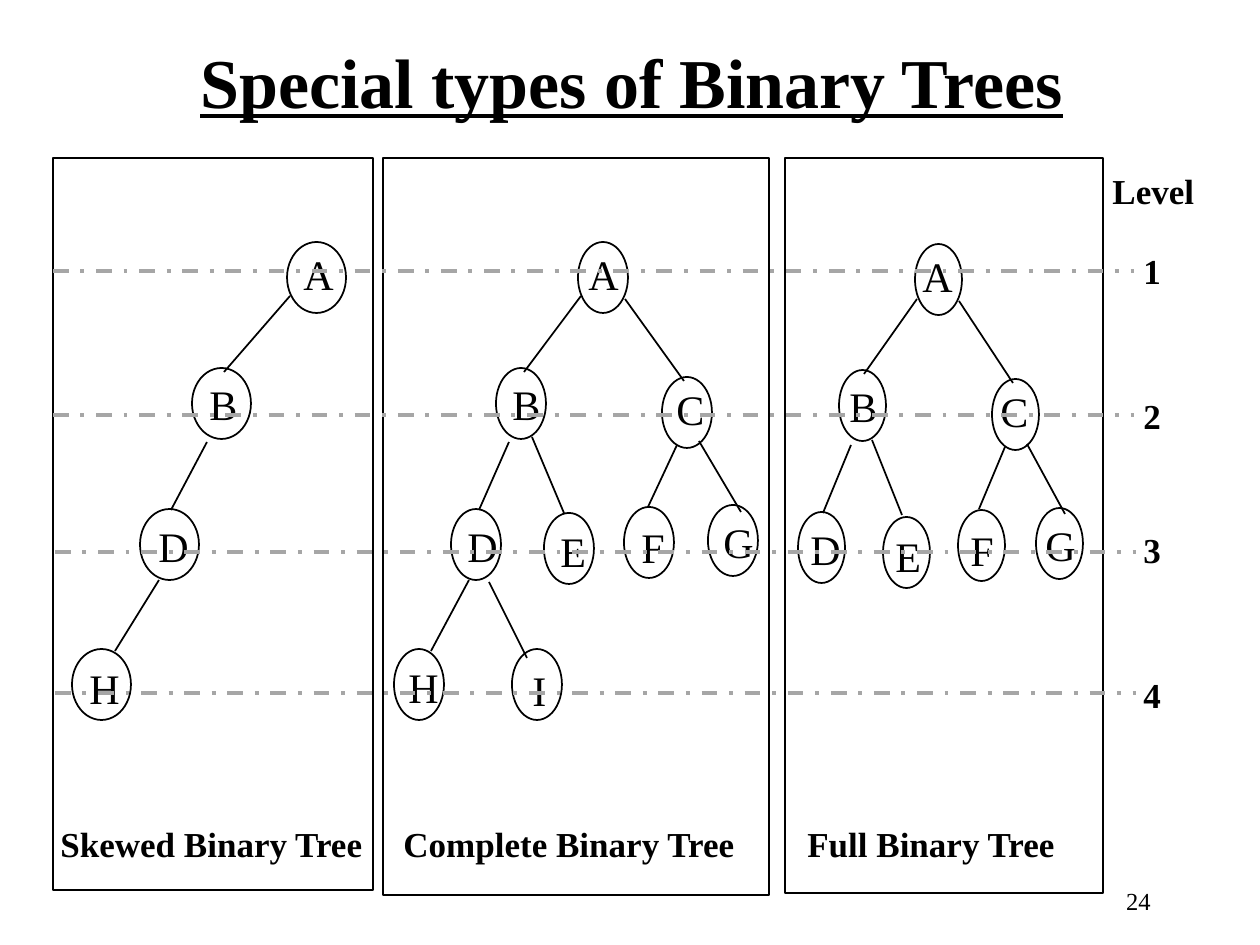
from pptx import Presentation
from pptx.dml.color import RGBColor
from pptx.enum.dml import MSO_LINE
from pptx.enum.shapes import MSO_CONNECTOR, MSO_SHAPE
from pptx.enum.text import MSO_AUTO_SIZE, PP_ALIGN
from pptx.oxml.ns import qn
from pptx.util import Emu, Pt
from lxml import etree

STRAIGHT = MSO_CONNECTOR.STRAIGHT
OVAL, RECTANGLE = MSO_SHAPE.OVAL, MSO_SHAPE.RECTANGLE
DASH_DOT = MSO_LINE.DASH_DOT
FIT_TEXT = MSO_AUTO_SIZE.SHAPE_TO_FIT_TEXT
LEFT, CENTER, RIGHT = PP_ALIGN.LEFT, PP_ALIGN.CENTER, PP_ALIGN.RIGHT

BLACK = RGBColor(0x00, 0x00, 0x00)
GRAY = RGBColor(0xA6, 0xA6, 0xA6)

EMU_PER_PX = 914400 / 126
NODE_HEIGHT = 71
LETTER_HEIGHT = 63
LABEL_HEIGHT = 54
CAPTION_TOP = 816
FRAME_TOP = 158
LETTER_WIDTHS = {"A": 55, "B": 53, "C": 53, "D": 55, "E": 50,
                 "F": 49, "G": 55, "H": 55, "I": 39}

BASE = {"name": "Times New Roman"}
TITLE = {**BASE, "size": Pt(40), "bold": True, "underline": True}
LABEL = {**BASE, "size": Pt(20), "bold": True}
LETTER = {**BASE, "size": Pt(24)}
PAGE_NUMBER = {**BASE, "size": Pt(14)}

# Frame: left, width, height. Caption: text, left, width.
# Nodes: letter, oval left and top, letter offset right and down.
# Edges: start x and y, end x and y.
TREES = [
    {
        "frame": (53, 320, 732),
        "caption": ("Skewed Binary Tree", 48, 330),
        "node_width": 59,
        "nodes": [("A", 287, 242, 4, 0), ("B", 192, 368, 5, 4),
                  ("D", 140, 509, 6, 5), ("H", 72, 649, 5, 7)],
        "edges": [(290, 296, 224, 372), (207, 442, 171, 510),
                  (159, 580, 115, 651)],
    },
    {
        "frame": (383, 386, 737),
        "caption": ("Complete Binary Tree", 391, 359),
        "node_width": 50,
        "nodes": [("A", 578, 242, -2, 0), ("B", 496, 368, 4, 4),
                  ("C", 662, 377, 2, 0), ("D", 451, 509, 4, 5),
                  ("E", 544, 513, 4, 6), ("F", 624, 507, 5, 8),
                  ("G", 708, 505, 3, 5), ("H", 394, 649, 2, 6),
                  ("I", 512, 649, 8, 9)],
        "edges": [(581, 296, 524, 372), (625, 299, 684, 381),
                  (509, 442, 479, 510), (532, 437, 564, 513),
                  (677, 445, 648, 507), (699, 441, 741, 512),
                  (469, 580, 431, 651), (489, 582, 527, 658)],
    },
    {
        "frame": (785, 318, 735),
        "caption": ("Full Binary Tree", 795, 276),
        "node_width": 47,
        "nodes": [("A", 915, 244, -5, 0), ("B", 839, 370, -2, 4),
                  ("C", 992, 379, -4, 0), ("D", 798, 512, 0, 5),
                  ("E", 883, 517, 0, 7), ("F", 958, 510, 0, 8),
                  ("G", 1036, 508, -3, 5)],
        "edges": [(917, 299, 864, 374), (959, 301, 1013, 383),
                  (851, 445, 823, 513), (872, 440, 902, 515),
                  (1005, 447, 979, 509), (1027, 444, 1065, 514)],
    },
]

# Level lines: left, line y, number top
LEVELS = [(53, 271, 243), (53, 415, 388), (55, 552, 522), (55, 693, 667)]
LEVEL_LENGTH = 1081


def px(*lengths):
    return [Emu(round(length * EMU_PER_PX)) for length in lengths]


def add_text(page, text, place, style, align=LEFT, wrap=False):
    box = page.shapes.add_textbox(*px(*place))
    frame = box.text_frame
    frame.word_wrap = wrap
    if not wrap:
        frame.auto_size = FIT_TEXT
    para = frame.paragraphs[0]
    para.alignment = align
    span = para.add_run()
    span.text = text
    for name, value in style.items():
        setattr(span.font, name, value)
    span.font.color.rgb = BLACK


def add_outline(page, kind, place, weight):
    shape = page.shapes.add_shape(kind, *px(*place))
    shape.shadow.inherit = False
    shape.fill.background()
    shape.line.color.rgb = BLACK
    shape.line.width = Pt(weight)


def add_line(page, ends, color=BLACK, weight=1, dash=None):
    line = page.shapes.add_connector(STRAIGHT, *px(*ends))
    line.line.color.rgb = color
    line.line.width = Pt(weight)
    if dash is not None:
        line.line.dash_style = dash
    etree.SubElement(line._element.spPr, qn("a:effectLst"))


def add_tree(page, tree):
    left, width, height = tree["frame"]
    add_outline(page, RECTANGLE, (left, FRAME_TOP, width, height), 0.75)
    for ends in tree["edges"]:
        add_line(page, ends)
    for letter, x, y, right, down in tree["nodes"]:
        add_outline(page, OVAL, (x, y, tree["node_width"], NODE_HEIGHT), 1)
        place = (x + right, y + down, LETTER_WIDTHS[letter], LETTER_HEIGHT)
        add_text(page, letter, place, LETTER)
    caption, left, width = tree["caption"]
    add_text(page, caption, (left, CAPTION_TOP, width, LABEL_HEIGHT), LABEL)


def add_levels(page):
    add_text(page, "Level", (1100, 163, 107, LABEL_HEIGHT), LABEL)
    for number, (left, y, top) in enumerate(LEVELS, 1):
        add_line(page, (left, y, left + LEVEL_LENGTH, y), GRAY, 2.25, DASH_DOT)
        add_text(page, str(number), (1131, top, 43, LABEL_HEIGHT), LABEL)


def main():
    deck = Presentation()
    deck.slide_width, deck.slide_height = px(1260, 945)
    page = deck.slides.add_slide(deck.slide_layouts[6])

    # Title and page number
    add_text(page, "Special types of Binary Trees", (183, 32, 897, 97),
             TITLE, CENTER)
    add_text(page, "24", (901, 880, 262, 63), PAGE_NUMBER, RIGHT, wrap=True)

    # Three framed trees, crossed by the level lines
    for tree in TREES:
        add_tree(page, tree)
    add_levels(page)

    deck.save("out.pptx")


if __name__ == "__main__":
    main()
